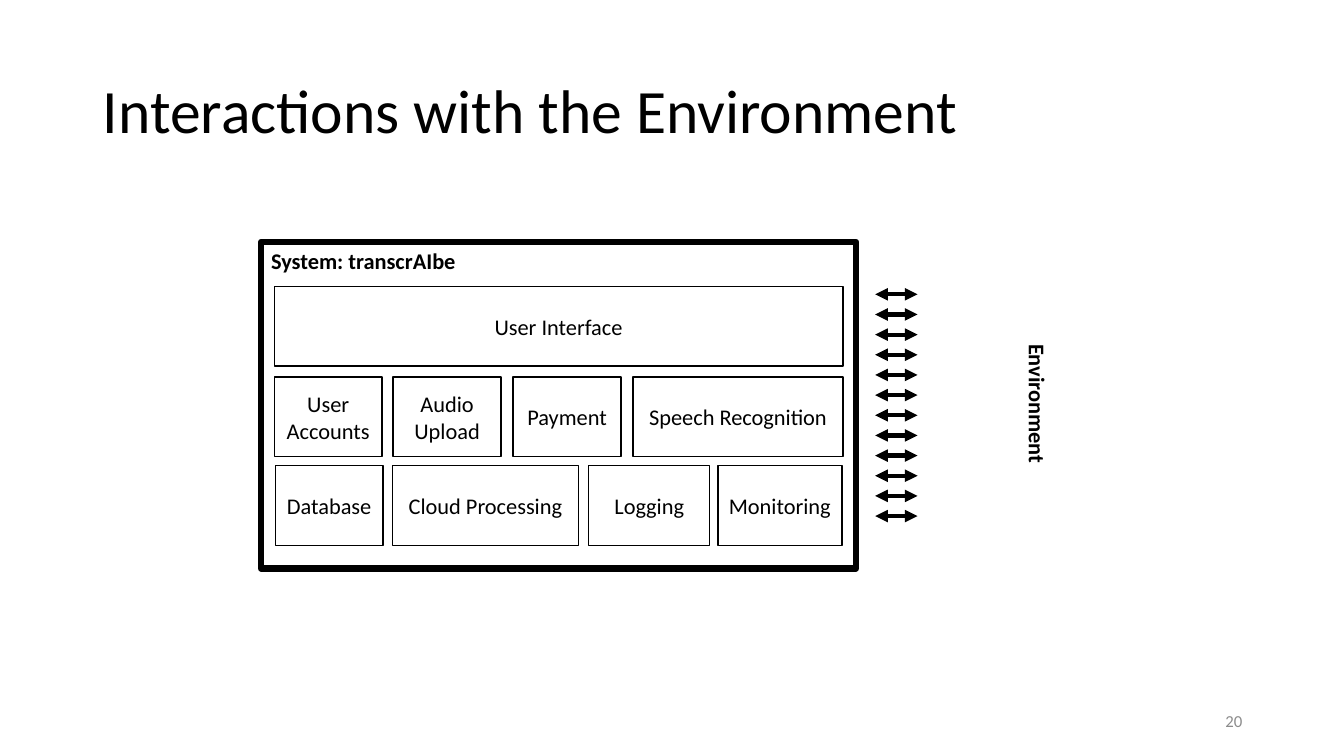
import pptx
import pptx.util
import pptx.dml.color
import pptx.enum.shapes
import pptx.enum.text
import pptx.oxml.ns
import lxml.etree

# Content: lengths in px, 100 px to the inch
TITLE = "Interactions with the Environment"
SYSTEM = "System: transcrAIbe"
ENVIRONMENT = "Environment"
SLIDE_NUMBER = "20"
# Each row: top, then (label, left, width)
COMPONENT_ROWS = [
    (284, [("User Interface", 272, 564)]),
    (374, [("User Accounts", 272, 107), ("Audio Upload", 390, 107),
           ("Payment", 509, 107), ("Speech Recognition", 628, 208)]),
    (462, [("Database", 273, 107), ("Cloud Processing", 389, 185),
           ("Logging", 584, 120), ("Monitoring", 712, 123)]),
]
COMPONENT_HEIGHT = 79
ARROW_COUNT, ARROW_TOP, ARROW_STEP = 12, 292, 20
ARROW_LEFT, ARROW_RIGHT = 868, 910
COLORS = {"ink": "000000", "paper": "FFFFFF", "muted": "8C8C8C"}
FONT = "Calibri"
ALIGN = pptx.enum.text.PP_ALIGN
ANCHOR = pptx.enum.text.MSO_ANCHOR


def px(length):
    return pptx.util.Emu(length * 9144)


def color(name):
    return pptx.dml.color.RGBColor.from_string(COLORS[name])


def write(shape, text, size=16, bold=False, align=ALIGN.LEFT,
          anchor=ANCHOR.TOP, ink="ink", wrap=True):
    frame = shape.text_frame
    frame.text = text
    frame.word_wrap = wrap
    frame.auto_size = pptx.enum.text.MSO_AUTO_SIZE.NONE
    frame.vertical_anchor = anchor
    paragraph = frame.paragraphs[0]
    paragraph.alignment = align
    font = paragraph.runs[0].font
    font.name, font.size, font.bold = FONT, pptx.util.Pt(size), bold
    font.color.rgb = color(ink)
    return paragraph


def add_box(slide, left, top, width, height, line_width):
    shape = slide.shapes.add_shape(
        pptx.enum.shapes.MSO_SHAPE.RECTANGLE,
        px(left), px(top), px(width), px(height))
    shape.shadow.inherit = False
    shape.line.color.rgb = color("ink")
    shape.line.width = pptx.util.Pt(line_width)
    return shape


def add_double_arrow(slide, y):
    arrow = slide.shapes.add_connector(
        pptx.enum.shapes.MSO_CONNECTOR.STRAIGHT,
        px(ARROW_LEFT), px(y), px(ARROW_RIGHT), px(y))
    arrow.line.color.rgb = color("ink")
    arrow.line.width = pptx.util.Pt(3)
    qn = pptx.oxml.ns.qn
    properties = arrow._element.spPr
    for end in ("a:headEnd", "a:tailEnd"):
        lxml.etree.SubElement(properties.find(qn("a:ln")), qn(end), type="triangle")
    lxml.etree.SubElement(properties, qn("a:effectLst"))


def main():
    presentation = pptx.Presentation()
    presentation.slide_width, presentation.slide_height = px(1333), px(750)
    slide = presentation.slides.add_slide(presentation.slide_layouts[5])

    # Title
    title = slide.shapes.title
    title.left, title.top, title.width, title.height = px(92), px(40), px(1150), px(145)
    write(title, TITLE, size=44, anchor=ANCHOR.MIDDLE).line_spacing = 0.9

    # System components
    for top, components in COMPONENT_ROWS:
        for label, left, width in components:
            component = add_box(slide, left, top, width, COMPONENT_HEIGHT, 1)
            component.fill.solid()
            component.fill.fore_color.rgb = color("paper")
            write(component, label, align=ALIGN.CENTER, anchor=ANCHOR.MIDDLE)
            component.text_frame.margin_left = px(5)
            component.text_frame.margin_right = px(5)

    # System boundary
    boundary = add_box(slide, 259, 240, 590, 324, 4.5)
    boundary.fill.background()
    write(boundary, SYSTEM, bold=True)

    # Exchange with the environment
    for index in range(ARROW_COUNT):
        add_double_arrow(slide, ARROW_TOP + index * ARROW_STEP)
    environment = slide.shapes.add_textbox(px(959), px(383), px(140), px(37))
    environment.rotation = 90
    write(environment, ENVIRONMENT, bold=True, wrap=False)

    # Slide number
    number = slide.shapes.add_textbox(px(942), px(695), px(300), px(40))
    write(number, SLIDE_NUMBER, size=12, align=ALIGN.RIGHT,
          anchor=ANCHOR.MIDDLE, ink="muted")

    presentation.save("out.pptx")


if __name__ == "__main__":
    main()
